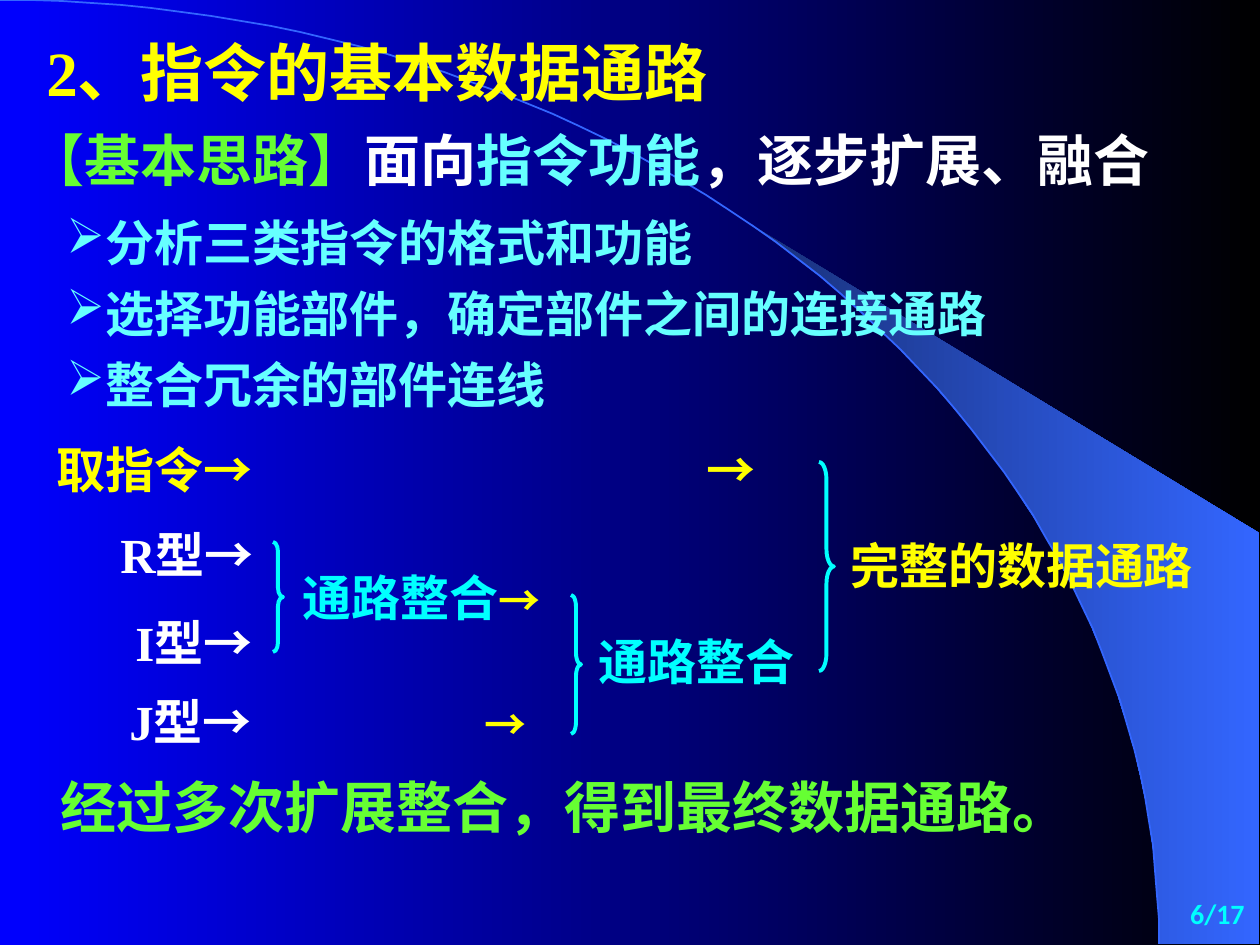
from math import asin, cos, pi, sin

from lxml.etree import SubElement
from pptx import Presentation
from pptx.dml.color import RGBColor
from pptx.enum.shapes import MSO_SHAPE as Shape
from pptx.enum.text import MSO_ANCHOR as Anchor, PP_ALIGN as Align
from pptx.oxml.ns import qn
from pptx.util import Pt

SCALE = 914400 / 126
YELLOW, GREEN, WHITE = "FFFF00", "66FF33", "FFFFFF"
AQUA, CYAN, BLUE = "66FFFF", "00FFFF", "3366FF"
LATIN, HAN = "Times New Roman", "Noto Sans CJK SC"


def px(length):
    return round(length * SCALE)


def color(value):
    return RGBColor.from_string(value)


def shade(fill, start, end):
    fill.gradient()
    fill.gradient_angle = 0
    for stop, value in zip(fill.gradient_stops, (start, end)):
        stop.color.rgb = color(value)


def ellipse_points(start, end, steps=60):
    angles = (start + (end - start) * step / steps for step in range(steps + 1))
    return [(1159 * sin(angle), 944 - 944 * cos(angle)) for angle in angles]


class SlideBuilder:
    """Holds the text style and the slide being built."""

    def __init__(self, slide):
        self.slide = slide
        self.style = {"bold": True, "name": LATIN, "size": Pt(28)}

    def text(self, box, *paragraphs, anchor=Anchor.MIDDLE, bullet=None, tab=None,
             formats=None, **font):
        frame = self.slide.shapes.add_textbox(*map(px, box)).text_frame
        frame.word_wrap = True
        frame.vertical_anchor = anchor
        for index, runs in enumerate(paragraphs):
            paragraph = frame.add_paragraph() if index else frame.paragraphs[0]
            properties = paragraph._p.get_or_add_pPr()
            if bullet:
                self.bullet(properties, bullet)
            if tab:
                stops = SubElement(properties, qn("a:tabLst"))
                SubElement(stops, qn("a:tab"), pos=str(px(tab)), algn="l")
            for key, value in (formats or {}).items():
                setattr(paragraph, key, value)
            for words, tint, *size in runs:
                self.run(paragraph, words, tint, {**font, **dict(zip(["size"], size))})

    def bullet(self, properties, tint):
        properties.set("marL", str(px(70)))
        properties.set("indent", str(px(-21)))
        holder = SubElement(properties, qn("a:buClr"))
        SubElement(holder, qn("a:srgbClr"), val=tint)
        SubElement(properties, qn("a:buChar"), char="➢")

    def run(self, paragraph, words, tint, font):
        run = paragraph.add_run()
        run.text = words
        for key, value in {**self.style, **font}.items():
            setattr(run.font, key, value)
        run.font.color.rgb = color(tint)
        SubElement(run._r.get_or_add_rPr(), qn("a:ea"), typeface=HAN)

    def outline(self, points, close):
        builder = self.slide.shapes.build_freeform(*points[0], scale=SCALE)
        builder.add_line_segments(points[1:], close=close)
        shape = builder.convert_to_shape()
        shape.shadow.inherit = False
        return shape

    def beam(self, points, start, end):
        shape = self.outline(points, True)
        shade(shape.fill, start, end)
        shape.line.fill.background()

    def curve(self, points, tint):
        shape = self.outline(points, False)
        shape.fill.background()
        self.stroke(shape, tint, 1)

    def brace(self, left, top, width, height):
        shape = self.slide.shapes.add_shape(
            Shape.RIGHT_BRACE, *map(px, (left, top, width, height)))
        shape.shadow.inherit = False
        shape.adjustments[0] = height / (12 * width)
        shape.fill.background()
        self.stroke(shape, CYAN, 2.25)

    def stroke(self, shape, tint, width):
        shape.line.color.rgb = color(tint)
        shape.line.width = Pt(width)


def main():
    deck = Presentation()
    deck.slide_width, deck.slide_height = px(1260), px(945)
    slide = deck.slides.add_slide(deck.slide_layouts[6])
    shade(slide.background.fill, "0000FF", "000000")
    page = SlideBuilder(slide)

    beam_start = asin(742 / 1159)
    page.beam(ellipse_points(beam_start, pi / 2) + [(1259, 944), (1259, 533)],
              "182F76", BLUE)
    page.curve(ellipse_points(0, pi / 2), BLUE)

    heading = {"anchor": Anchor.TOP, "formats": {"line_spacing": 1.25}}
    page.text((34, 8, 772, 107), [("2、指令的基本数据通路", YELLOW)],
              size=Pt(36), **heading)
    page.text((16, 103, 1160, 97),
              [("【基本思路】", GREEN), ("面向", WHITE), ("指令功能", AQUA),
               ("，逐步扩展、融合", WHITE)],
              size=Pt(32), name=HAN, **heading)
    steps = ("分析三类指令的格式和功能", "选择功能部件，确定部件之间的连接通路",
             "整合冗余的部件连线")
    page.text((5, 195, 1221, 224), *([(step, AQUA)] for step in steps),
              anchor=Anchor.TOP, bullet=AQUA, formats={"line_spacing": 1.2})

    page.text((44, 403, 784, 131), [("取指令→\t→", YELLOW)], tab=650)
    page.text((108, 518, 189, 72), [("R型→", WHITE)])
    page.text((123, 606, 189, 72), [("I型→", WHITE)])
    page.text((117, 685, 454, 72), [("J型→\t", WHITE), ("→", YELLOW, Pt(24))], tab=355)
    page.text((290, 561, 297, 72), [("通路整合", CYAN), ("→", YELLOW, Pt(24))])
    page.text((586, 625, 278, 72), [("通路整合", CYAN)])
    page.text((838, 529, 397, 72), [("完整的数据通路", YELLOW)])
    for brace in ((273, 542, 10, 110), (571, 595, 10, 139), (819, 462, 15, 209)):
        page.brace(*brace)

    page.text((48, 766, 1148, 81),
              [("经过多次扩展整合，得到最终数据通路。", GREEN)], size=Pt(32))
    page.text((995, 890, 262, 53), [("6/17", CYAN)], anchor=Anchor.TOP,
              formats={"alignment": Align.RIGHT}, size=Pt(16), name="Calibri")
    deck.save("out.pptx")


if __name__ == "__main__":
    main()
